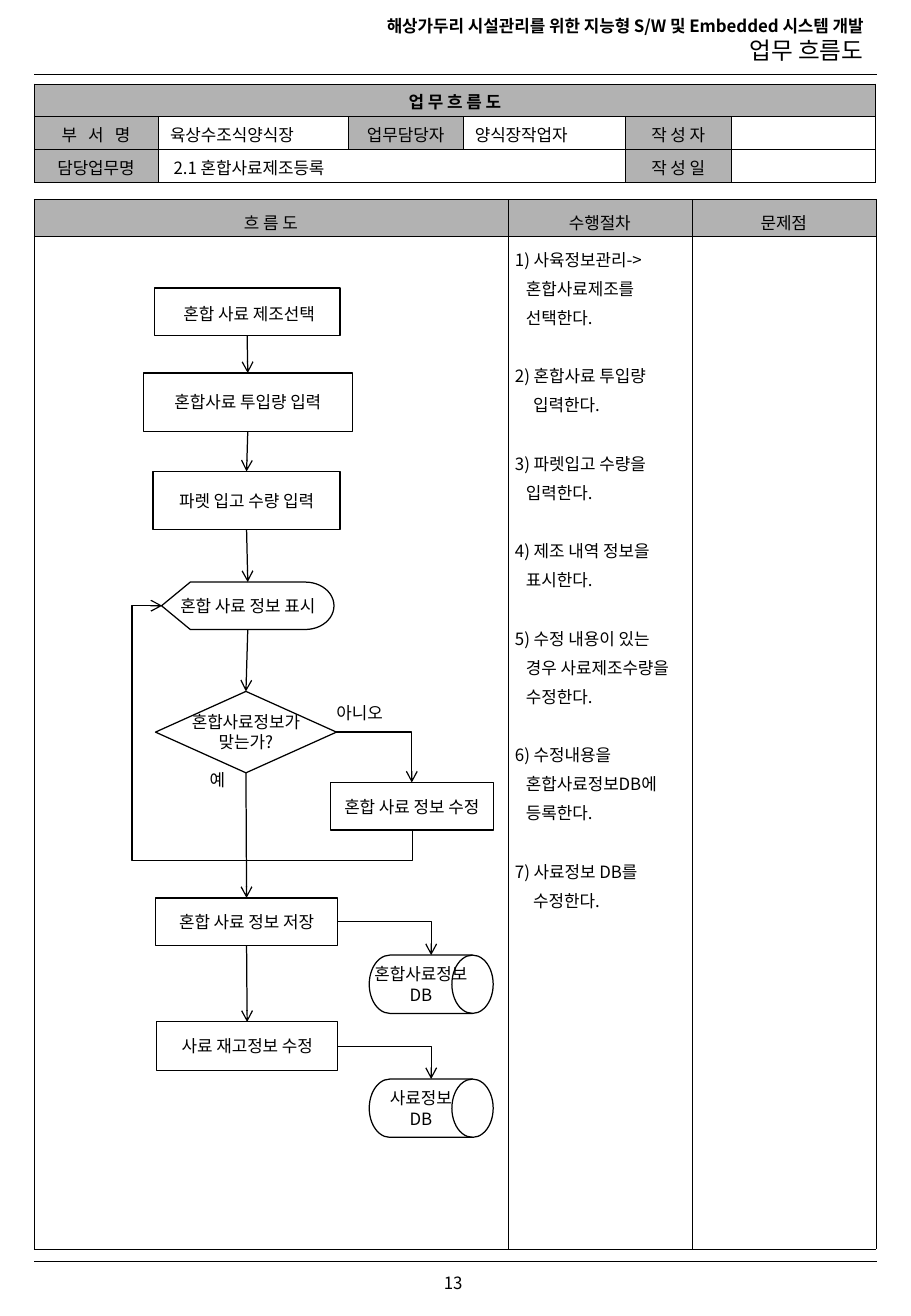
from lxml import etree
from pptx import Presentation
from pptx.dml.color import RGBColor
from pptx.enum.shapes import MSO_CONNECTOR, MSO_SHAPE
from pptx.enum.text import MSO_ANCHOR, MSO_AUTO_SIZE, PP_ALIGN
from pptx.oxml.ns import qn
from pptx.util import Inches, Pt

LEFT, CENTER, RIGHT = PP_ALIGN.LEFT, PP_ALIGN.CENTER, PP_ALIGN.RIGHT
TOP, MIDDLE = MSO_ANCHOR.TOP, MSO_ANCHOR.MIDDLE
STRAIGHT, ELBOW = MSO_CONNECTOR.STRAIGHT, MSO_CONNECTOR.ELBOW
PROCESS, DECISION = MSO_SHAPE.FLOWCHART_PROCESS, MSO_SHAPE.FLOWCHART_DECISION
DISPLAY, DRUM = MSO_SHAPE.FLOWCHART_DISPLAY, MSO_SHAPE.FLOWCHART_DIRECT_ACCESS_STORAGE
SIDE_TOP, SIDE_BOTTOM, SIDE_RIGHT = 0, 2, 3

FONT = "Noto Sans CJK KR"
COLORS = {"ink": "000000", "header": "B2B2B2"}
INK = RGBColor.from_string(COLORS["ink"])


def write(frame, lines, align=CENTER, size=10, bold=False, **paragraph_format):
    """Fill a text frame with one formatted paragraph per line."""
    for index, line in enumerate(lines):
        paragraph = frame.paragraphs[0] if index == 0 else frame.add_paragraph()
        paragraph.text = line
        paragraph.alignment = align
        for name, value in paragraph_format.items():
            setattr(paragraph, name, value)
        for line_break in paragraph._p.findall(qn("a:br")):
            etree.SubElement(line_break, qn("a:rPr"), sz=str(size * 100))
        for run in paragraph.runs:
            for name, value in {"name": FONT, "size": Pt(size), "bold": bold}.items():
                setattr(run.font, name, value)
            run.font.color.rgb = INK
            run.font._element.find(qn("a:latin")).addnext(
                etree.Element(qn("a:ea"), typeface=FONT))
        if not line:
            etree.SubElement(paragraph._p, qn("a:endParaRPr"), sz=str(size * 100))


def add_line(kind, start, end, width=0.75, arrow=True):
    """Draw a connector between two points given in inches."""
    connector = slide.shapes.add_connector(kind, *(Inches(v) for v in (*start, *end)))
    connector.line.color.rgb = INK
    connector.line.width = Pt(width)
    if arrow:
        etree.SubElement(connector.line._get_or_add_ln(), qn("a:tailEnd"), type="arrow")
    etree.SubElement(connector._element.spPr, qn("a:effectLst"))
    return connector


presentation = Presentation()
presentation.slide_width, presentation.slide_height = Inches(7.5), Inches(10.83)
slide = presentation.slides.add_slide(presentation.slide_layouts[5])

# Page header
title = slide.shapes.title
title.left, title.top, title.width, title.height = (
    Inches(v) for v in (2.33, 0.07, 4.88, 0.51))
title_frame = title.text_frame
title_frame.auto_size = MSO_AUTO_SIZE.NONE
title_frame.vertical_anchor = MIDDLE
write(title_frame, ["해상가두리 시설관리를 위한 지능형 S/W 및 Embedded 시스템 개발", "업무 흐름도"], RIGHT)
title_frame.paragraphs[0].runs[0].font.bold = True
title_frame.paragraphs[1].runs[0].font.size = Pt(14)

# Rules above and below the page body
for rule_y in (0.61, 10.38):
    add_line(STRAIGHT, (0.28, rule_y), (7.22, rule_y), 0.25, arrow=False)

# Both tables: cell text, with None for a cell merged into the one on its left
tables = [
    {"top": 0.69, "columns": [1.02, 1.57, 0.94, 1.34, 0.87, 1.19],
     "rows": [0.27] * 3, "anchor": MIDDLE, "spacing": 1.0,
     "margins": {"margin_left": 0.1, "margin_right": 0.1,
                 "margin_top": 0.04, "margin_bottom": 0.02},
     "header": {(0, 0), (1, 0), (1, 2), (1, 4), (2, 0), (2, 4)},
     "cells": [["업 무 흐 름 도", None, None, None, None, None],
               ["부 서 명", "육상수조식양식장", "업무담당자", "양식장작업자", "작 성 자", ""],
               ["담당업무명", "2.1 혼합사료제조등록", None, None, "작 성 일", ""]]},
    {"top": 1.64, "columns": [3.9, 1.515, 1.515],
     "rows": [0.3, 8.34], "anchor": TOP, "spacing": 1.2,
     "margins": {"margin_left": 0.06, "margin_right": 0.06,
                 "margin_top": 0.05, "margin_bottom": 0},
     "header": {(0, 0), (0, 1), (0, 2)},
     "cells": [["흐 름 도", "수행절차", "문제점"], ["", "", ""]]},
]
grids = []
for spec_table in tables:
    rows, columns = spec_table["rows"], spec_table["columns"]
    table = slide.shapes.add_table(
        len(rows), len(columns), Inches(0.28), Inches(spec_table["top"]),
        Inches(sum(columns)), Inches(sum(rows))).table
    table.first_row = table.horz_banding = False
    for index, width in enumerate(columns):
        table.columns[index].width = Inches(width)
    for index, height in enumerate(rows):
        table.rows[index].height = Inches(height)
    for row, texts in enumerate(spec_table["cells"]):
        for column, text in enumerate(texts):
            cell = table.cell(row, column)
            cell.vertical_anchor = spec_table["anchor"]
            for name, value in spec_table["margins"].items():
                setattr(cell, name, Inches(value))
            for edge in ("a:lnL", "a:lnR", "a:lnT", "a:lnB"):
                border = etree.SubElement(cell._tc.get_or_add_tcPr(), qn(edge), w="3175")
                border_fill = etree.SubElement(border, qn("a:solidFill"))
                etree.SubElement(border_fill, qn("a:srgbClr"), val=COLORS["ink"])
            is_header = (row, column) in spec_table["header"]
            if is_header:
                cell.fill.solid()
                cell.fill.fore_color.rgb = RGBColor.from_string(COLORS["header"])
            else:
                cell.fill.background()
            write(cell.text_frame, [text or ""], CENTER if is_header else LEFT,
                  line_spacing=spec_table["spacing"])
    grids.append(table)

form_table, flow_table = grids
form_table.cell(0, 0).merge(form_table.cell(0, 5))
form_table.cell(2, 1).merge(form_table.cell(2, 3))
form_table.cell(0, 0).text_frame.paragraphs[0].runs[0].font.bold = True
form_table.cell(1, 0).text_frame.paragraphs[0].runs[0].font._element.set("spc", "220")
form_table.cell(2, 1).margin_left = Inches(0.13)

# Procedure steps: text and hanging indent
steps = [
    ("1) 사육정보관리->\v혼합사료제조를\v선택한다.", 0.09),
    ("2) 혼합사료 투입량\v입력한다.", 0.15),
    ("3) 파렛입고 수량을\v입력한다.", 0.09),
    ("4) 제조 내역 정보을\v표시한다.", 0.09),
    ("5) 수정 내용이 있는\v경우 사료제조수량을\v수정한다.", 0.09),
    ("6) 수정내용을\v혼합사료정보DB에\v등록한다.", 0.09),
    ("7) 사료정보 DB를\v수정한다.", 0.15),
]
steps_frame = flow_table.cell(1, 1).text_frame
old_mark = steps_frame.paragraphs[0]._p.find(qn("a:endParaRPr"))
steps_frame.paragraphs[0]._p.remove(old_mark)
write(steps_frame, [text for text, indent in steps], LEFT, line_spacing=1.2)
for index, (text, indent) in enumerate(steps):
    paragraph = steps_frame.paragraphs[index]
    paragraph.space_before = Pt(17.3 if index else 0)
    properties = paragraph._p.get_or_add_pPr()
    properties.set("marL", str(Inches(indent)))
    properties.set("indent", str(-Inches(indent)))

# Flowchart nodes
nodes = {
    "select": (PROCESS, 1.27, 2.37, 1.53, 0.39, ["혼합 사료 제조선택"]),
    "amount": (PROCESS, 1.18, 3.07, 1.72, 0.48, ["혼합사료 투입량 입력"]),
    "pallet": (PROCESS, 1.26, 3.88, 1.54, 0.48, ["파렛 입고 수량 입력"]),
    "show": (DISPLAY, 1.33, 4.79, 1.42, 0.39, ["혼합 사료 정보 표시"]),
    "check": (DECISION, 1.28, 5.69, 1.49, 0.67, ["혼합사료정보가", "맞는가?"]),
    "edit": (PROCESS, 2.72, 6.44, 1.34, 0.39, ["혼합 사료 정보 수정"]),
    "save": (PROCESS, 1.28, 7.39, 1.5, 0.39, ["혼합 사료 정보 저장"]),
    "mix_db": (DRUM, 3.04, 7.86, 1.02, 0.48, ["혼합사료정보", "DB"]),
    "stock": (PROCESS, 1.29, 8.41, 1.49, 0.4, ["사료 재고정보 수정"]),
    "feed_db": (DRUM, 3.04, 8.88, 1.02, 0.48, ["사료정보", "DB"]),
}
shapes = {}
for name, (kind, *box, lines) in nodes.items():
    shape = slide.shapes.add_shape(kind, *(Inches(v) for v in box))
    shape.shadow.inherit = False
    shape.fill.background()
    shape.line.color.rgb = INK
    shape.line.width = Pt(0.75)
    shape.text_frame.word_wrap = False
    shape.text_frame.vertical_anchor = MIDDLE
    write(shape.text_frame, lines)
    shapes[name] = shape
shapes["select"].text_frame.margin_left = Inches(0.13)
shapes["select"].text_frame.paragraphs[0].line_spacing = 1.2

# Arrows down the main flow, then branches to the right
main_flow = ["select", "amount", "pallet", "show", "check", "save", "stock"]
links = [(a, b, STRAIGHT, SIDE_BOTTOM) for a, b in zip(main_flow, main_flow[1:])]
links += [(a, b, ELBOW, SIDE_RIGHT) for a, b in
          (("check", "edit"), ("save", "mix_db"), ("stock", "feed_db"))]
for source, target, kind, side in links:
    arrow = add_line(kind, (0, 0), (1, 1))
    arrow.begin_connect(shapes[source], side)
    arrow.end_connect(shapes[target], SIDE_TOP)
    if kind == ELBOW:
        arrow._element.spPr.find(qn("a:prstGeom")).set("prst", "bentConnector2")

# Loop from the edit step back to the display step
loop = add_line(ELBOW, (1.44, 4.88), (3.29, 6.94))
loop_properties = loop._element.spPr
loop_properties.find(qn("a:xfrm")).set("rot", "16200000")
loop_properties.find(qn("a:xfrm")).set("flipV", "1")
loop_geometry = loop_properties.find(qn("a:prstGeom"))
loop_geometry.set("prst", "bentConnector4")
for name, value in {"adj1": -13500, "adj2": 112100}.items():
    etree.SubElement(loop_geometry.find(qn("a:avLst")), qn("a:gd"),
                     name=name, fmla=f"val {value}")

# Branch labels and page number
for text, *box in (("아니오", 2.65, 5.73, 0.62, 0.27), ("예", 1.62, 6.28, 0.34, 0.27),
                   ("13", 3.32, 10.34, 0.82, 0.44)):
    label = slide.shapes.add_textbox(*(Inches(v) for v in box))
    label.text_frame.word_wrap = False
    label.text_frame.vertical_anchor = MIDDLE
    write(label.text_frame, [text])

presentation.save("out.pptx")
